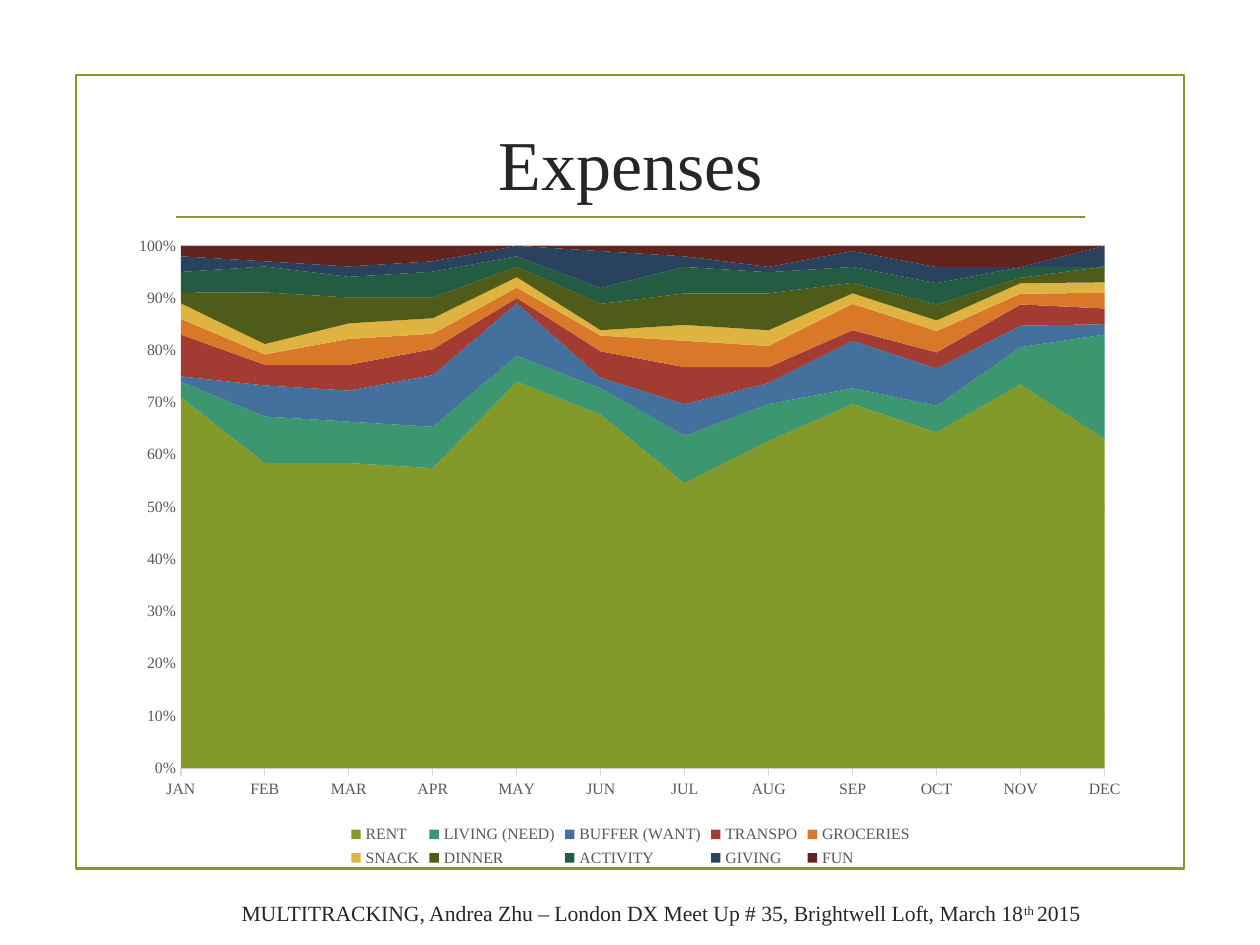
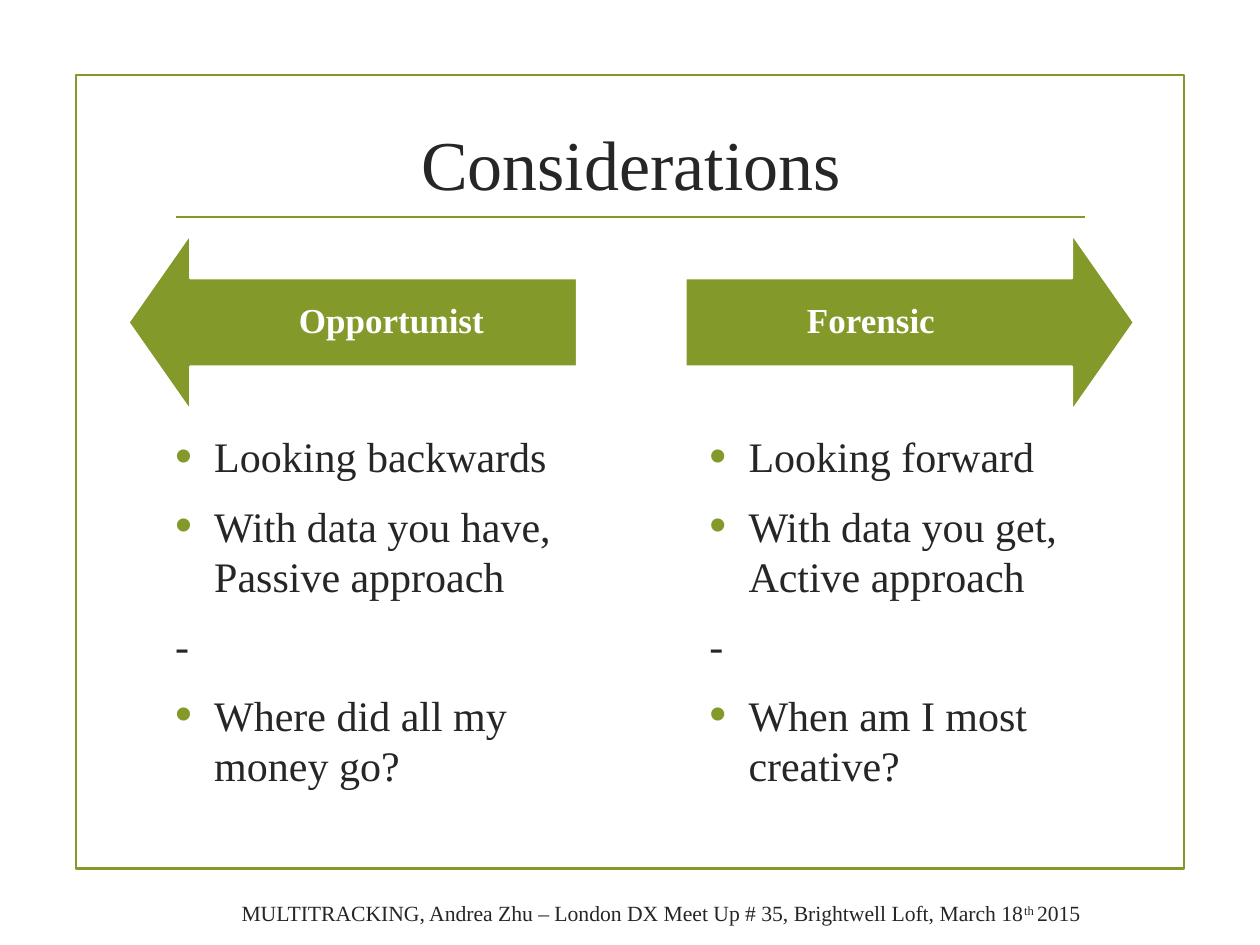
from dataclasses import dataclass

from lxml import etree
from pptx import Presentation
from pptx.chart.data import CategoryChartData
from pptx.dml.color import RGBColor
from pptx.enum.chart import XL_CHART_TYPE, XL_LEGEND_POSITION, XL_TICK_MARK
from pptx.enum.shapes import MSO_CONNECTOR, MSO_SHAPE
from pptx.enum.text import MSO_ANCHOR, PP_ALIGN
from pptx.oxml import parse_xml
from pptx.oxml.ns import nsdecls, qn
from pptx.util import Cm, Pt

AREA = XL_CHART_TYPE.AREA_STACKED_100
LEGEND_BOTTOM = XL_LEGEND_POSITION.BOTTOM
TICK_NONE, TICK_OUT = XL_TICK_MARK.NONE, XL_TICK_MARK.OUTSIDE
STRAIGHT = MSO_CONNECTOR.STRAIGHT
RECTANGLE = MSO_SHAPE.RECTANGLE
LEFT_ARROW, RIGHT_ARROW = MSO_SHAPE.LEFT_ARROW, MSO_SHAPE.RIGHT_ARROW
TOP, MIDDLE, BOTTOM = MSO_ANCHOR.TOP, MSO_ANCHOR.MIDDLE, MSO_ANCHOR.BOTTOM
LEFT, CENTER = PP_ALIGN.LEFT, PP_ALIGN.CENTER


@dataclass(frozen=True)
class Theme:
    font: str = "Times New Roman"
    green: RGBColor = RGBColor.from_string("83992A")
    ink: RGBColor = RGBColor.from_string("262626")
    label: RGBColor = RGBColor.from_string("595959")
    grid: RGBColor = RGBColor.from_string("D9D9D9")
    white: RGBColor = RGBColor.from_string("FFFFFF")
    title_size: Pt = Pt(40)
    body_size: Pt = Pt(24)
    arrow_size: Pt = Pt(20)
    footer_size: Pt = Pt(12.4)
    chart_size: Pt = Pt(9)
    rule_width: Pt = Pt(1.25)
    grid_width: Pt = Pt(0.75)


theme = Theme()


def style_font(font, size, color, bold=None):
    font.name = theme.font
    font.size = size
    font.color.rgb = color
    font.bold = bold


def add_text(slide, left, top, width, height, lines, size, anchor, align=LEFT):
    frame = slide.shapes.add_textbox(Cm(left), Cm(top), Cm(width), Cm(height)).text_frame
    frame.word_wrap = True
    frame.vertical_anchor = anchor
    for index, line in enumerate(lines):
        paragraph = frame.add_paragraph() if index else frame.paragraphs[0]
        paragraph.text = line
        paragraph.alignment = align
        style_font(paragraph.font, size, theme.ink)
    return frame


presentation = Presentation()
presentation.slide_width = Cm(25.4)
presentation.slide_height = Cm(19.05)
blank_layout = presentation.slide_layouts[6]

slides = []
for title in ("Expenses", "Considerations"):
    slide = presentation.slides.add_slide(blank_layout)
    slides.append(slide)

    border = slide.shapes.add_shape(RECTANGLE, Cm(1.54), Cm(1.51), Cm(22.33), Cm(16))
    border.shadow.inherit = False
    border.fill.background()
    border.line.color.rgb = theme.green
    border.line.width = theme.rule_width

    rule = slide.shapes.add_connector(STRAIGHT, Cm(3.55), Cm(4.37), Cm(21.88), Cm(4.37))
    rule.line.color.rgb = theme.green
    rule.line.width = theme.rule_width
    etree.SubElement(rule._element.spPr, qn("a:effectLst"))

    add_text(slide, 3.27, 2.14, 18.9, 2.26, [title], theme.title_size, MIDDLE, CENTER)

    footer = add_text(
        slide, 4.62, 18.08, 20, 0.71,
        ["MULTITRACKING, Andrea Zhu – London DX Meet Up # 35, Brightwell Loft, March 18"],
        theme.footer_size, BOTTOM,
    ).paragraphs[0]
    ordinal = footer.add_run()
    ordinal.text = "th "
    ordinal.font._element.set("baseline", "30000")
    footer.add_run().text = "2015"

expenses_slide, considerations_slide = slides

months = ["JAN", "FEB", "MAR", "APR", "MAY", "JUN", "JUL", "AUG", "SEP", "OCT", "NOV", "DEC"]
expenses = [
    ("RENT", "83992A", (71, 59, 59, 58, 74, 67, 54, 62, 69, 63, 72, 63)),
    ("LIVING (NEED)", "3C9770", (3, 9, 8, 8, 5, 5, 9, 7, 3, 5, 7, 20)),
    ("BUFFER (WANT)", "44709D", (1, 6, 6, 10, 10, 2, 6, 4, 9, 7, 4, 2)),
    ("TRANSPO", "A23C33", (8, 4, 5, 5, 1, 5, 7, 3, 2, 3, 4, 3)),
    ("GROCERIES", "D97828", (3, 2, 5, 3, 2, 3, 5, 4, 5, 4, 2, 3)),
    ("SNACK", "DEB340", (3, 2, 3, 3, 2, 1, 3, 3, 2, 2, 2, 2)),
    ("DINNER", "4F5C19", (2, 10, 5, 4, 2, 5, 6, 7, 2, 3, 1, 3)),
    ("ACTIVITY", "245B43", (4, 5, 4, 5, 2, 3, 5, 4, 3, 4, 2, 0)),
    ("GIVING", "29435E", (3, 1, 2, 2, 2, 7, 2, 1, 3, 3, 0, 4)),
    ("FUN", "61241F", (2, 3, 4, 3, 0, 1, 2, 4, 1, 4, 4, 0)),
]
chart_data = CategoryChartData()
chart_data.categories = months
for name, color, values in expenses:
    chart_data.add_series(name, values)

chart = expenses_slide.shapes.add_chart(
    AREA, Cm(2.41), Cm(4.5), Cm(20.6), Cm(13.08), chart_data
).chart
chart.has_title = False
style_font(chart.font, theme.chart_size, theme.label)
chart.has_legend = True
chart.legend.position = LEGEND_BOTTOM
chart.legend.include_in_layout = False
style_font(chart.legend.font, theme.chart_size, theme.label)
chart.plots[0].vary_by_categories = False
for series, (name, color, values) in zip(chart.plots[0].series, expenses):
    series.format.fill.solid()
    series.format.fill.fore_color.rgb = RGBColor.from_string(color)
    series.format.line.fill.background()

month_axis, share_axis = chart.category_axis, chart.value_axis
for axis, tick in ((month_axis, TICK_OUT), (share_axis, TICK_NONE)):
    axis.major_tick_mark = tick
    axis.minor_tick_mark = TICK_NONE
    style_font(axis.tick_labels.font, theme.chart_size, theme.label)
share_axis.format.line.fill.background()
share_axis.has_major_gridlines = True
share_axis.maximum_scale = 1
share_axis.major_unit = 0.1
share_axis.tick_labels.number_format = "0%"
share_axis.tick_labels.number_format_is_linked = False
for line in (month_axis.format.line, share_axis.major_gridlines.format.line):
    line.color.rgb = theme.grid
    line.width = theme.grid_width
month_axis.has_major_gridlines = False
share_axis._element.find(qn("c:crossBetween")).set("val", "midCat")

plot_area = chart._chartSpace.chart.plotArea
for automatic_layout in plot_area.findall(qn("c:layout")):
    plot_area.remove(automatic_layout)
plot_area.insert(0, parse_xml(
    f'<c:layout {nsdecls("c")}><c:manualLayout><c:layoutTarget val="inner"/>'
    '<c:xMode val="edge"/><c:yMode val="edge"/><c:x val="0.06"/><c:y val="0.035"/>'
    '<c:w val="0.904"/><c:h val="0.805"/></c:manualLayout></c:layout>'
))

approaches = [
    ("Opportunist", LEFT_ARROW, 2.59, 1.24, 0.3, 3.28,
     ["Looking backwards", "With data you have,\nPassive approach", "-",
      "Where did all my money go?"]),
    ("Forensic", RIGHT_ARROW, 13.82, 0.3, 1.24, 14.05,
     ["Looking forward", "With data you get,\nActive approach", "-",
      "When am I most creative?"]),
]
for name, arrow_kind, arrow_left, inset_left, inset_right, list_left, points in approaches:
    arrow = considerations_slide.shapes.add_shape(
        arrow_kind, Cm(arrow_left), Cm(4.72), Cm(9.04), Cm(3.56)
    )
    arrow.adjustments[0] = 0.5
    arrow.adjustments[1] = 0.35
    arrow.shadow.inherit = False
    arrow.fill.solid()
    arrow.fill.fore_color.rgb = theme.green
    arrow.line.color.rgb = theme.white
    arrow.line.width = theme.rule_width
    frame = arrow.text_frame
    frame.word_wrap = True
    frame.vertical_anchor = MIDDLE
    frame.margin_left, frame.margin_right = Cm(inset_left), Cm(inset_right)
    paragraph = frame.paragraphs[0]
    paragraph.text = name
    paragraph.alignment = CENTER
    paragraph.line_spacing = 0.9
    style_font(paragraph.font, theme.arrow_size, theme.white, True)

    point_frame = add_text(
        considerations_slide, list_left, 8.56, 9.12, 7.92, points, theme.body_size, TOP
    )
    for paragraph in point_frame.paragraphs:
        paragraph.space_before = Pt(4.8)
        paragraph.space_after = Pt(6)
        if paragraph.text == "-":
            continue
        properties = paragraph._p.get_or_add_pPr()
        properties.set("marL", str(Cm(0.79)))
        properties.set("indent", str(-Cm(0.79)))
        bullet = [
            f'<a:buClr {nsdecls("a")}><a:srgbClr val="{theme.green}"/></a:buClr>',
            f'<a:buSzPct {nsdecls("a")} val="115000"/>',
            f'<a:buFont {nsdecls("a")} typeface="Arial"/>',
            f'<a:buChar {nsdecls("a")} char="•"/>',
        ]
        for part in bullet:
            properties.find(qn("a:defRPr")).addprevious(parse_xml(part))

presentation.save("out.pptx")
